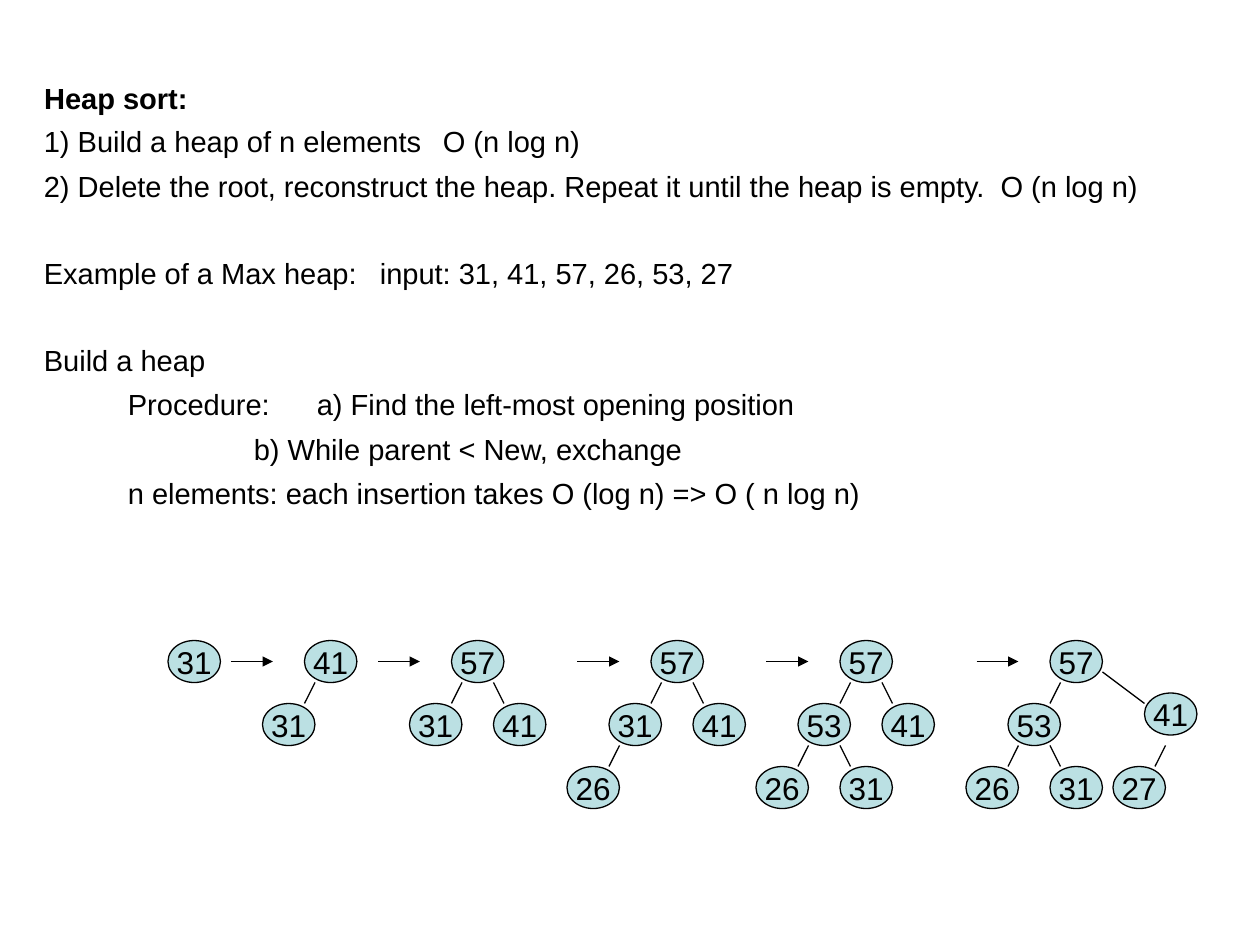
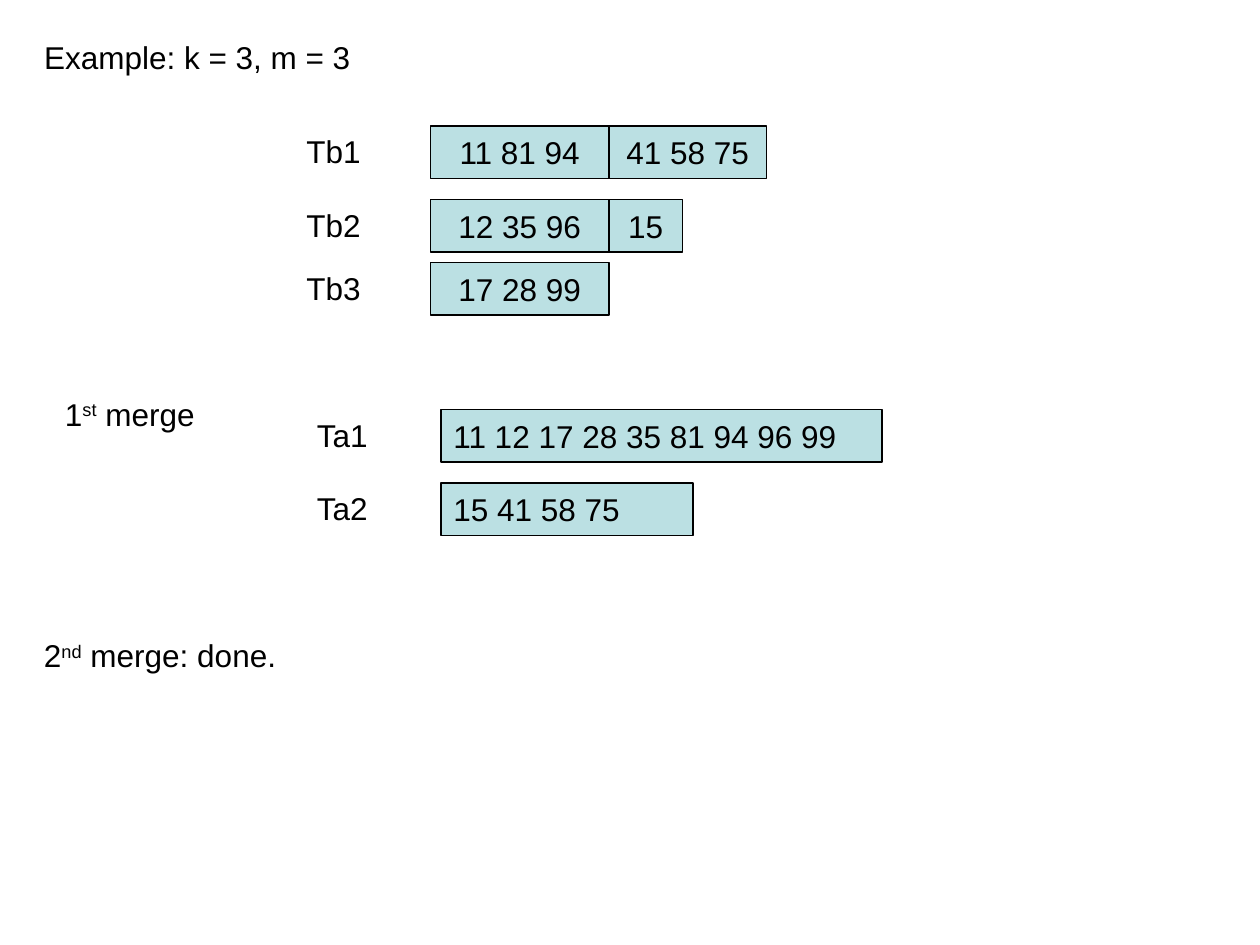
from lxml import etree
from pptx import Presentation
from pptx.dml.color import RGBColor
from pptx.enum.shapes import MSO_CONNECTOR, MSO_SHAPE
from pptx.enum.text import MSO_ANCHOR, MSO_AUTO_SIZE, PP_ALIGN
from pptx.oxml.ns import qn
from pptx.util import Pt

LEFT, CENTER = PP_ALIGN.LEFT, PP_ALIGN.CENTER
TOP, MIDDLE = MSO_ANCHOR.TOP, MSO_ANCHOR.MIDDLE
OVAL, RECTANGLE = MSO_SHAPE.OVAL, MSO_SHAPE.RECTANGLE
STRAIGHT, NO_AUTOFIT = MSO_CONNECTOR.STRAIGHT, MSO_AUTO_SIZE.NONE

PX_PER_INCH = 120
EMU_PER_PX = 914400 // PX_PER_INCH
TITLE_ONLY = 5
COLORS = {"ink": "000000", "fill": "BBE0E3"}
FONT = "Arial"
BODY_SIZE, LABEL_SIZE = 16.6, 18
LINE_GAP, SECTION_GAP = 5.4, 29.9

HEAP_TITLE = ("Heap sort:", (30, 71, 1170, 40))
HEAP_BODY_BOX = (30, 112, 1170, 428)
HEAP_SECTIONS = [
    ["1) Build a heap of n elements \tO (n log n)",
     "2) Delete the root, reconstruct the heap. Repeat it until the heap is empty.  O (n log n)"],
    ["Example of a Max heap:\tinput: 31, 41, 57, 26, 53, 27"],
    ["Build a heap",
     "\tProcedure: \ta) Find the left-most opening position",
     "\t\t\tb) While parent < New, exchange",
     "\tn elements: each insertion takes O (log n) => O ( n log n)"],
]
HEAPS = [
    (160, [31]),
    (290, [41, 31]),
    (430, [57, 31, 41]),
    (620, [57, 31, 41, 26]),
    (800, [57, 53, 41, 26, 31]),
    (1000, [57, 53, 41, 26, 31, 27]),
]
ROOT_TOP, LEVEL_STEP, SIDE_STEP = 610, 60, 40
NODE_W, NODE_H = 50, 40
LAST_HEAP_OFFSETS = {2: (90, 50), 5: (60, 120)}
LAST_HEAP_EDGES = {2: (50, 30, 90, 60), 5: (110, 100, 100, 120)}

MERGE_TITLE = ("Example: k = 3, m = 3", (30, 30, 830, 48))
TAPE_GROUPS = [
    (280, CENTER, [
        ("Tb1", 120, [("11 81 94", 170), ("41 58 75", 150)]),
        ("Tb2", 190, [("12 35 96", 170), ("15", 70)]),
        ("Tb3", 250, [("17 28 99", 170)]),
    ]),
    (290, LEFT, [
        ("Ta1", 390, [("11 12 17 28 35 81 94 96 99", 420)]),
        ("Ta2", 460, [("15 41 58 75", 240)]),
    ]),
]
LABEL_W, LABEL_H = 110, 48
RUN_OFFSET, RUN_H = 130, 50
MERGE_STEPS = [
    (("1", "st", " merge"), (50, 370, 260, 48)),
    (("2", "nd", " merge: done."), (30, 600, 800, 48)),
]


def emu(*lengths):
    return [length * EMU_PER_PX for length in lengths]


def apply(target, formats):
    for name, value in formats.items():
        setattr(target, name, value)


def ink():
    return RGBColor.from_string(COLORS["ink"])


def add_words(paragraph, words, size, bold=False, baseline=None):
    run = paragraph.add_run()
    run.text = words
    apply(run.font, {"name": FONT, "size": Pt(size), "bold": bold})
    run.font.color.rgb = ink()
    if baseline:
        run.font._element.set("baseline", str(baseline))


def set_frame(shape, wrap=True, anchor=TOP):
    side, edge = emu(12, 6)
    apply(shape.text_frame, {
        "word_wrap": wrap, "auto_size": NO_AUTOFIT, "vertical_anchor": anchor,
        "margin_left": side, "margin_right": side,
        "margin_top": edge, "margin_bottom": edge,
    })
    return shape.text_frame


def add_titled_slide(deck, title, size, bold=False):
    words, box = title
    slide = deck.slides.add_slide(deck.slide_layouts[TITLE_ONLY])
    heading = slide.shapes.title
    apply(heading, dict(zip(("left", "top", "width", "height"), emu(*box))))
    paragraph = set_frame(heading).paragraphs[0]
    paragraph.alignment = LEFT
    add_words(paragraph, words, size, bold)
    return slide


def add_label(slide, words, box):
    return set_frame(slide.shapes.add_textbox(*emu(*box))).paragraphs[0], words


def add_filled(slide, preset, words, box, alignment=CENTER):
    shape = slide.shapes.add_shape(preset, *emu(*box))
    shape.shadow.inherit = False
    shape.fill.solid()
    shape.fill.fore_color.rgb = RGBColor.from_string(COLORS["fill"])
    shape.line.color.rgb = ink()
    shape.line.width = Pt(0.75)
    paragraph = set_frame(shape, wrap=False, anchor=MIDDLE).paragraphs[0]
    paragraph.alignment = alignment
    add_words(paragraph, words, LABEL_SIZE)


def add_link(slide, ends, arrow=False):
    link = slide.shapes.add_connector(STRAIGHT, *emu(*ends))
    link.line.color.rgb = ink()
    link.line.width = Pt(0.75)
    if arrow:
        etree.SubElement(link.line._get_or_add_ln(), qn("a:tailEnd"), type="triangle")
    etree.SubElement(link._element.spPr, qn("a:effectLst"))


def set_tabs(paragraph):
    hang = emu(80)[0]
    properties = paragraph._p.get_or_add_pPr()
    properties.set("marL", str(hang))
    properties.set("indent", str(-hang))
    stops = etree.SubElement(properties, qn("a:tabLst"))
    for inch in range(8):
        etree.SubElement(stops, qn("a:tab"), pos=str(inch * 914400), algn="l")


def add_heap_body(slide):
    frame = set_frame(slide.shapes.add_textbox(*emu(*HEAP_BODY_BOX)))
    paragraph = frame.paragraphs[0]
    for section in HEAP_SECTIONS:
        for position, line in enumerate(section):
            if paragraph.runs:
                paragraph = frame.add_paragraph()
                paragraph.space_before = Pt(LINE_GAP if position else SECTION_GAP)
            set_tabs(paragraph)
            add_words(paragraph, line, BODY_SIZE)


def add_heap(slide, root_left, keys, moved, rerouted):
    offsets = []
    for index, key in enumerate(keys):
        x, y = 0, 0
        if index:
            parent_x, parent_y = offsets[(index - 1) // 2]
            is_left = index % 2
            x = parent_x + (-SIDE_STEP if is_left else SIDE_STEP)
            y = parent_y + LEVEL_STEP
            start, end = (10, 0) if is_left else (40, 50)
            edge = (parent_x + start, parent_y + NODE_H, parent_x + end, y)
            x1, y1, x2, y2 = rerouted.get(index, edge)
            add_link(slide, (root_left + x1, ROOT_TOP + y1, root_left + x2, ROOT_TOP + y2))
        x, y = moved.get(index, (x, y))
        offsets.append((x, y))
        add_filled(slide, OVAL, str(key), (root_left + x, ROOT_TOP + y, NODE_W, NODE_H))


def build_heap_slide(deck):
    slide = add_titled_slide(deck, HEAP_TITLE, BODY_SIZE, bold=True)
    add_heap_body(slide)
    arrow_y = ROOT_TOP + NODE_H // 2
    for step, (root_left, keys) in enumerate(HEAPS):
        if step:
            add_link(slide, (root_left - 70, arrow_y, root_left - 30, arrow_y), arrow=True)
        is_last = step == len(HEAPS) - 1
        add_heap(slide, root_left, keys,
                 LAST_HEAP_OFFSETS if is_last else {}, LAST_HEAP_EDGES if is_last else {})


def build_merge_slide(deck):
    slide = add_titled_slide(deck, MERGE_TITLE, LABEL_SIZE)
    for label_left, alignment, tapes in TAPE_GROUPS:
        for tape, top, sorted_runs in tapes:
            paragraph, words = add_label(slide, tape, (label_left, top, LABEL_W, LABEL_H))
            add_words(paragraph, words, LABEL_SIZE)
            left = label_left + RUN_OFFSET
            for keys, width in sorted_runs:
                add_filled(slide, RECTANGLE, keys, (left, top, width, RUN_H), alignment)
                left += width
    for step, box in MERGE_STEPS:
        paragraph, (number, ordinal, rest) = add_label(slide, step, box)
        add_words(paragraph, number, LABEL_SIZE)
        add_words(paragraph, ordinal, LABEL_SIZE, baseline=30000)
        add_words(paragraph, rest, LABEL_SIZE)


def main():
    deck = Presentation()
    deck.slide_width, deck.slide_height = emu(1200, 900)
    build_heap_slide(deck)
    build_merge_slide(deck)
    deck.save("out.pptx")


if __name__ == "__main__":
    main()
